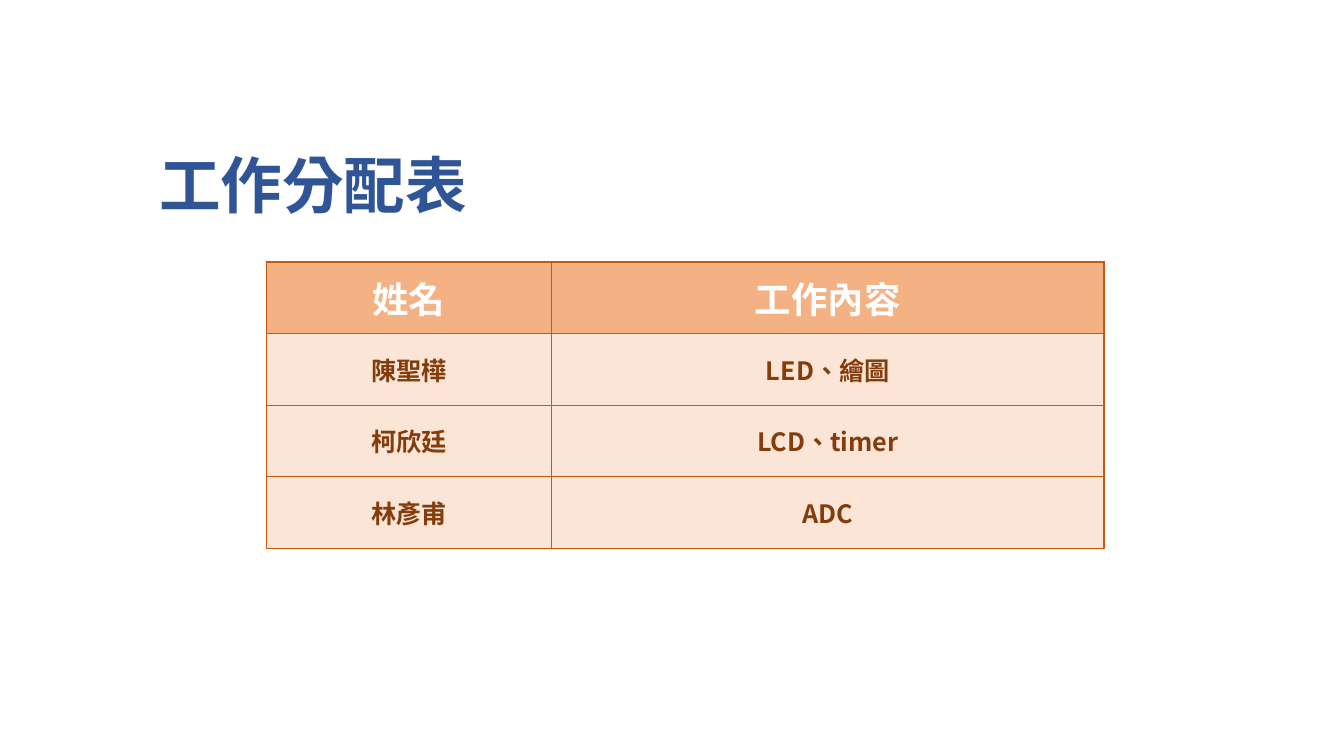
from lxml import etree
from pptx import Presentation
from pptx.dml.color import RGBColor
from pptx.enum.text import MSO_ANCHOR as Anchor, PP_ALIGN as Align
from pptx.oxml import parse_xml
from pptx.oxml.ns import nsdecls, qn
from pptx.util import Inches, Pt

FONT = "Noto Sans CJK SC"
BORDER = "C55A11"
COLUMN_WIDTHS = [2.83, 5.48]
ROW_HEIGHT = 0.71
ROWS = [
    ["姓名", "工作內容"],
    ["陳聖樺", "LED、繪圖"],
    ["柯欣廷", "LCD、timer"],
    ["林彥甫", "ADC"],
]


def color(value):
    return RGBColor.from_string(value)


def add_span(para, text, size, font_color):
    """Add bold text, set in Traditional Chinese with one font for all scripts."""
    span = para.add_run()
    span.text = text
    for name, value in {"size": Pt(size), "bold": True, "name": FONT}.items():
        setattr(span.font, name, value)
    span.font.color.rgb = color(font_color)
    properties = span._r.get_or_add_rPr()
    properties.set("lang", "zh-TW")
    etree.SubElement(properties, qn("a:ea")).set("typeface", FONT)
    return properties


deck = Presentation()
deck.slide_width, deck.slide_height = Inches(13.33), Inches(7.5)
page = deck.slides.add_slide(deck.slide_layouts[6])

# Title with a soft blue text shadow
title_box = page.shapes.add_textbox(Inches(1.48), Inches(1.15), Inches(11.5), Inches(1.45))
title_box.text_frame.word_wrap = True
title_box.text_frame.vertical_anchor = Anchor.MIDDLE
title_para = title_box.text_frame.paragraphs[0]
title_para.line_spacing = 0.9
title_properties = add_span(title_para, "工作分配表", 44, "2F5597")
title_properties.find(qn("a:latin")).addprevious(parse_xml(
    f'<a:effectLst {nsdecls("a")}>'
    '<a:outerShdw blurRad="50800" dist="38100" dir="2700000" algn="tl">'
    '<a:srgbClr val="9DC3E6"/></a:outerShdw></a:effectLst>'))

# Work assignment table
table = page.shapes.add_table(
    len(ROWS), len(COLUMN_WIDTHS), Inches(2.64), Inches(2.6),
    Inches(sum(COLUMN_WIDTHS)), Inches(ROW_HEIGHT * len(ROWS))).table
for column, width in zip(table.columns, COLUMN_WIDTHS):
    column.width = Inches(width)

cell_format = {
    "margin_left": Inches(0.06), "margin_right": Inches(0.06),
    "margin_top": 0, "margin_bottom": 0, "vertical_anchor": Anchor.MIDDLE,
}
for row_index, texts in enumerate(ROWS):
    table.rows[row_index].height = Inches(ROW_HEIGHT)
    if row_index == 0:
        fill, size, font_color = "F4B183", 26, "FFFFFF"
    else:
        fill, size, font_color = "FBE5D6", 18, "843C0B"
    for column_index, text in enumerate(texts):
        cell = table.cell(row_index, column_index)
        for name, value in cell_format.items():
            setattr(cell, name, value)
        para = cell.text_frame.paragraphs[0]
        para.alignment = Align.CENTER
        add_span(para, text, size, font_color)
        cell_properties = cell._tc.get_or_add_tcPr()
        for side in ("lnL", "lnR", "lnT", "lnB"):
            cell_properties.append(parse_xml(
                f'<a:{side} {nsdecls("a")} w="12700"><a:solidFill>'
                f'<a:srgbClr val="{BORDER}"/></a:solidFill></a:{side}>'))
        cell.fill.solid()
        cell.fill.fore_color.rgb = color(fill)

deck.save("out.pptx")
